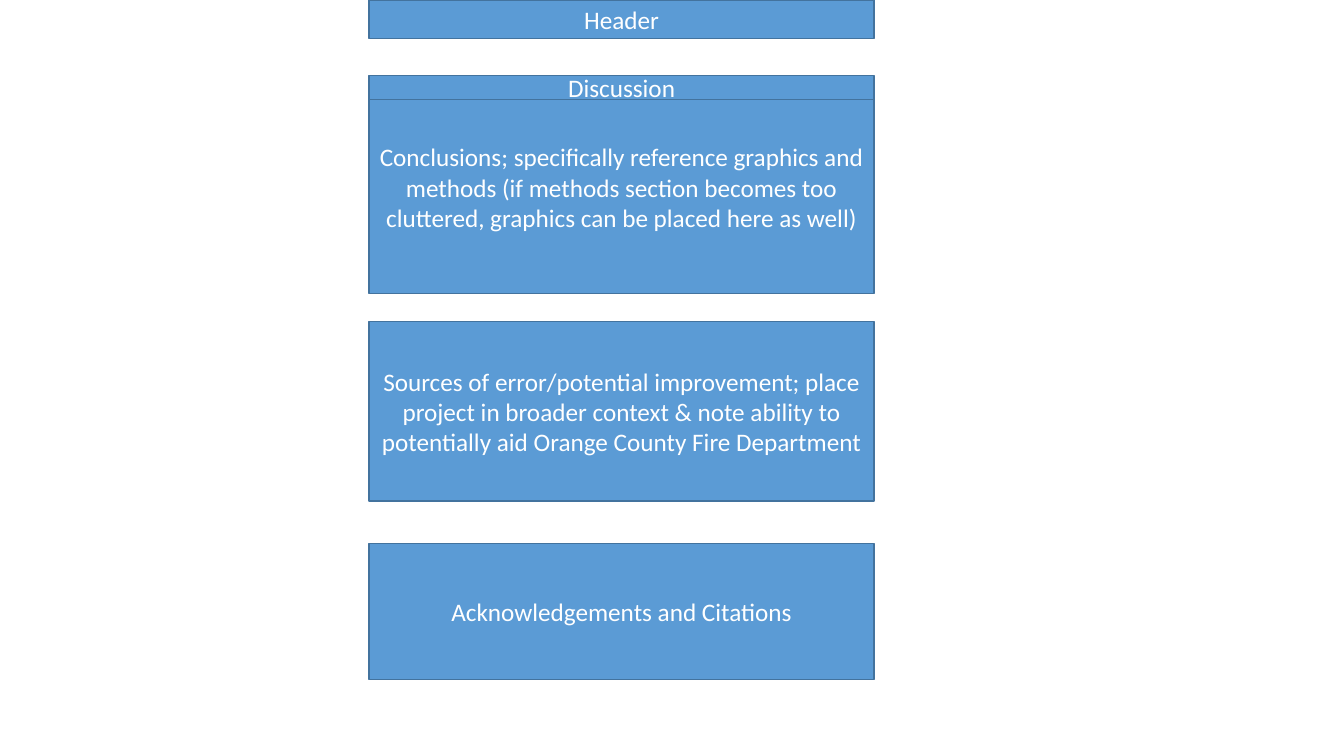
import pptx
import pptx.util
import pptx.dml.color
import pptx.enum.shapes
import pptx.enum.text

HEX = {"fill": "5B9BD5", "edge": "43739E", "text": "FFFFFF"}
WIDE, HIGH = pptx.util.Inches(13.33), pptx.util.Inches(7.5)
ROWS = 150
ROW = HIGH / ROWS

# Top row, row count and text of each panel, back to front
PANELS = [
    (16, 42.2, "Conclusions; specifically reference graphics and methods "
     "(if methods section becomes too cluttered, graphics can be placed "
     "here as well)"),
    (63.8, 35.6, "Sources of error/potential improvement; place project in "
     "broader context & note ability to potentially aid Orange County "
     "Fire Department"),
    (107.8, 27, "Acknowledgements and Citations"),
    (15, 4.8, "Discussion"),
]


def color(name):
    """Return the named colour."""
    return pptx.dml.color.RGBColor.from_string(HEX[name])


def write(shape, text, size=18, font="Calibri", ink="text"):
    """Put centred, wrapped text in a shape."""
    frame = shape.text_frame
    frame.text = text
    frame.word_wrap = True
    frame.auto_size = pptx.enum.text.MSO_AUTO_SIZE.NONE
    frame.vertical_anchor = pptx.enum.text.MSO_ANCHOR.MIDDLE
    part = frame.paragraphs[0]
    part.alignment = pptx.enum.text.PP_ALIGN.CENTER
    face = part.runs[0].font
    face.size, face.name = pptx.util.Pt(size), font
    face.color.rgb = color(ink)


def paint(shape):
    """Give a shape the panel fill and edge."""
    shape.fill.solid()
    shape.fill.fore_color.rgb = color("fill")
    shape.line.color.rgb = color("edge")
    shape.line.width = pptx.util.Pt(1)


def header(slide, box):
    """Fit the slide title to a box as the top panel."""
    title = slide.shapes.title
    title.left, title.top, title.width, title.height = map(round, box)
    paint(title)
    write(title, "Header")


def stack(slide, box):
    """Stack the panels down a box by grid rows."""
    left, top, width, height = box
    row = height / ROWS
    for start, span, text in PANELS:
        spot = left, top + start * row, width, span * row
        panel = slide.shapes.add_shape(
            pptx.enum.shapes.MSO_SHAPE.RECTANGLE, *map(round, spot))
        panel.shadow.inherit = False
        paint(panel)
        write(panel, text)


def main():
    """Build and save the slide."""
    deck = pptx.Presentation()
    deck.slide_width, deck.slide_height = WIDE, HIGH
    slide = deck.slides.add_slide(deck.slide_layouts.get_by_name("Title Only"))
    left, width = pptx.util.Inches(3.66), pptx.util.Inches(5.01)
    header(slide, (left, 0, width, 7.6 * ROW))
    stack(slide, (left, 0, width, HIGH))
    deck.save("out.pptx")


main()
